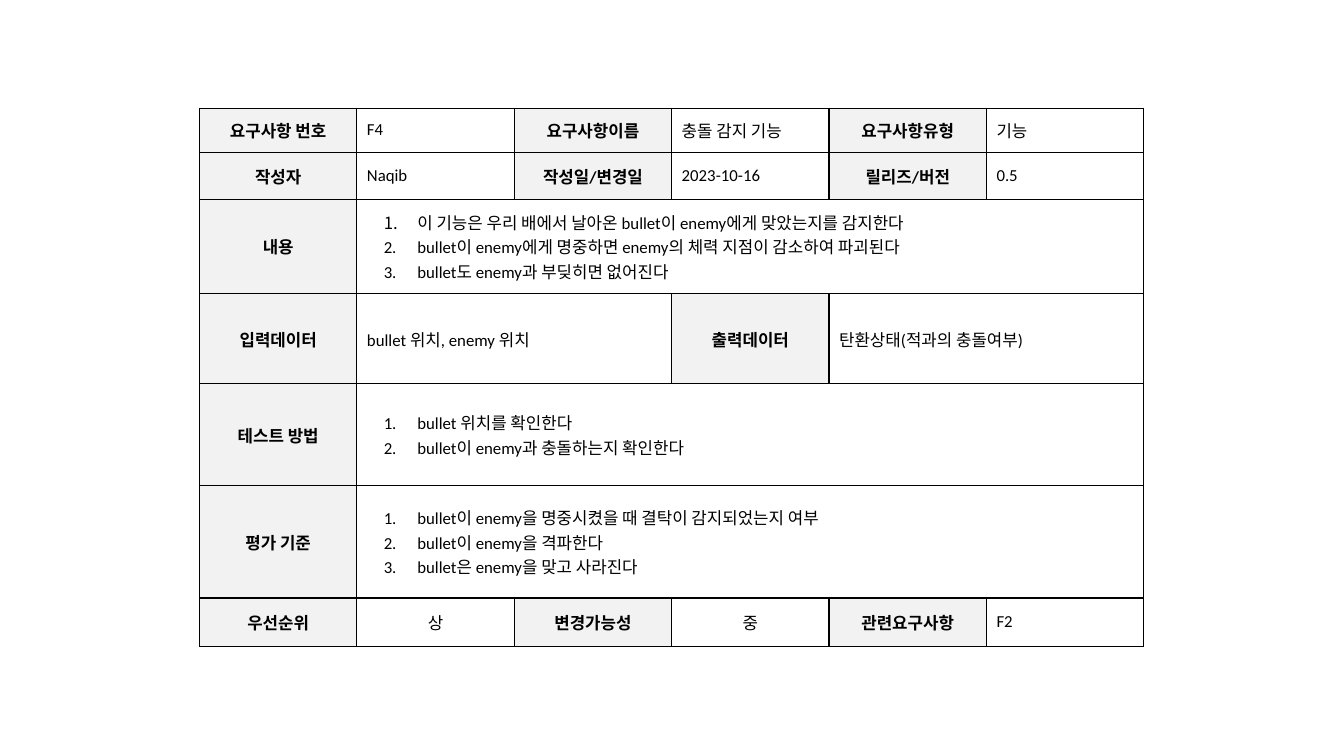
from lxml import etree
from pptx import Presentation
from pptx import util as u
from pptx.dml.color import RGBColor
from pptx.enum import text as t
from pptx.oxml import ns

COLORS = {"ink": "000000", "label": "F2F2F2"}
COLUMN_WIDTH = 112.44
ROW_HEIGHTS = [31.5, 33.75, 67.25, 64.5, 72.75, 80.25, 34.5]

# Each cell is (kind, content, number of columns it spans).
ROWS = [
    [("label", "요구사항 번호", 1), ("value", "F4", 1),
     ("label", "요구사항이름", 1), ("value", "충돌 감지 기능", 1),
     ("label", "요구사항유형", 1), ("value", "기능", 1)],
    [("label", "작성자", 1), ("value", "Naqib", 1),
     ("label", "작성일/변경일", 1), ("value", "2023-10-16", 1),
     ("label", "릴리즈/버전", 1), ("value", "0.5", 1)],
    [("label", "내용", 1),
     ("list", ["이 기능은 우리 배에서 날아온 bullet이 enemy에게 맞았는지를 감지한다",
               "bullet이 enemy에게 명중하면 enemy의 체력 지점이 감소하여 파괴된다",
               "bullet도 enemy과 부딪히면 없어진다"], 5)],
    [("label", "입력데이터", 1), ("value", "bullet 위치, enemy 위치", 2),
     ("label", "출력데이터", 1), ("value", "탄환상태(적과의 충돌여부)", 2)],
    [("label", "테스트 방법", 1),
     ("list", ["bullet 위치를 확인한다",
               "bullet이 enemy과 충돌하는지 확인한다"], 5)],
    [("label", "평가 기준", 1),
     ("list", ["bullet이 enemy을 명중시켰을 때 결탁이 감지되었는지 여부",
               "bullet이 enemy을 격파한다",
               "bullet은 enemy을 맞고 사라진다"], 5)],
    [("label", "우선순위", 1), ("rating", "상", 1),
     ("label", "변경가능성", 1), ("rating", "중", 1),
     ("label", "관련요구사항", 1), ("value", "F2", 1)],
]


def write(paragraph, content, *, font="Calibri", size=12, color="ink",
          bold=False, centered=False, numbered=False):
    if numbered:
        properties = paragraph._p.get_or_add_pPr()
        properties.set("marL", str(u.Pt(36)))
        properties.set("indent", str(u.Pt(-24)))
        etree.SubElement(properties, ns.qn("a:buAutoNum"), type="arabicPeriod")
    paragraph.alignment = t.PP_ALIGN.CENTER if centered else t.PP_ALIGN.LEFT
    run = paragraph.add_run()
    run.text = content
    run.font.name = font
    run.font.size = u.Pt(size)
    run.font.bold = bold
    run.font.color.rgb = RGBColor.from_string(COLORS[color])


class RequirementSlide:
    def __init__(self, presentation):
        self.slide = presentation.slides.add_slide(presentation.slide_layouts[6])
        self.border_width = u.Pt(1)

    def border(self, cell):
        properties = cell._tc.get_or_add_tcPr()
        for side in ("lnL", "lnR", "lnT", "lnB"):
            line = etree.SubElement(properties, ns.qn(f"a:{side}"),
                                    w=str(self.border_width))
            fill = etree.SubElement(line, ns.qn("a:solidFill"))
            etree.SubElement(fill, ns.qn("a:srgbClr"), val=COLORS["ink"])

    def fill_cell(self, cell, kind, content):
        cell.vertical_anchor = t.MSO_ANCHOR.MIDDLE
        if kind == "label":
            cell.fill.solid()
            cell.fill.fore_color.rgb = RGBColor.from_string(COLORS["label"])
        else:
            cell.fill.background()
        frame = cell.text_frame
        items = content if kind == "list" else [content]
        for index, item in enumerate(items):
            paragraph = frame.add_paragraph() if index else frame.paragraphs[0]
            write(paragraph, item, bold=kind == "label",
                  centered=kind in ("label", "rating"), numbered=kind == "list")

    def table(self, left, top, rows, column_width, row_heights):
        column_count = sum(span for _, _, span in rows[0])
        table = self.slide.shapes.add_table(
            len(rows), column_count, u.Pt(left), u.Pt(top),
            u.Pt(column_width * column_count), u.Pt(sum(row_heights))).table
        table.first_row = table.horz_banding = False
        for column in table.columns:
            column.width = u.Pt(column_width)
        for row, height in zip(table.rows, row_heights):
            row.height = u.Pt(height)
        for cell in table.iter_cells():
            self.border(cell)
        for row_index, row in enumerate(rows):
            column = 0
            for kind, content, span in row:
                cell = table.cell(row_index, column)
                if span > 1:
                    cell.merge(table.cell(row_index, column + span - 1))
                self.fill_cell(cell, kind, content)
                column += span


def main():
    presentation = Presentation()
    presentation.slide_width = u.Pt(960)
    presentation.slide_height = u.Pt(540)
    RequirementSlide(presentation).table(142.5, 77.25, ROWS, COLUMN_WIDTH, ROW_HEIGHTS)
    presentation.save("out.pptx")


if __name__ == "__main__":
    main()
